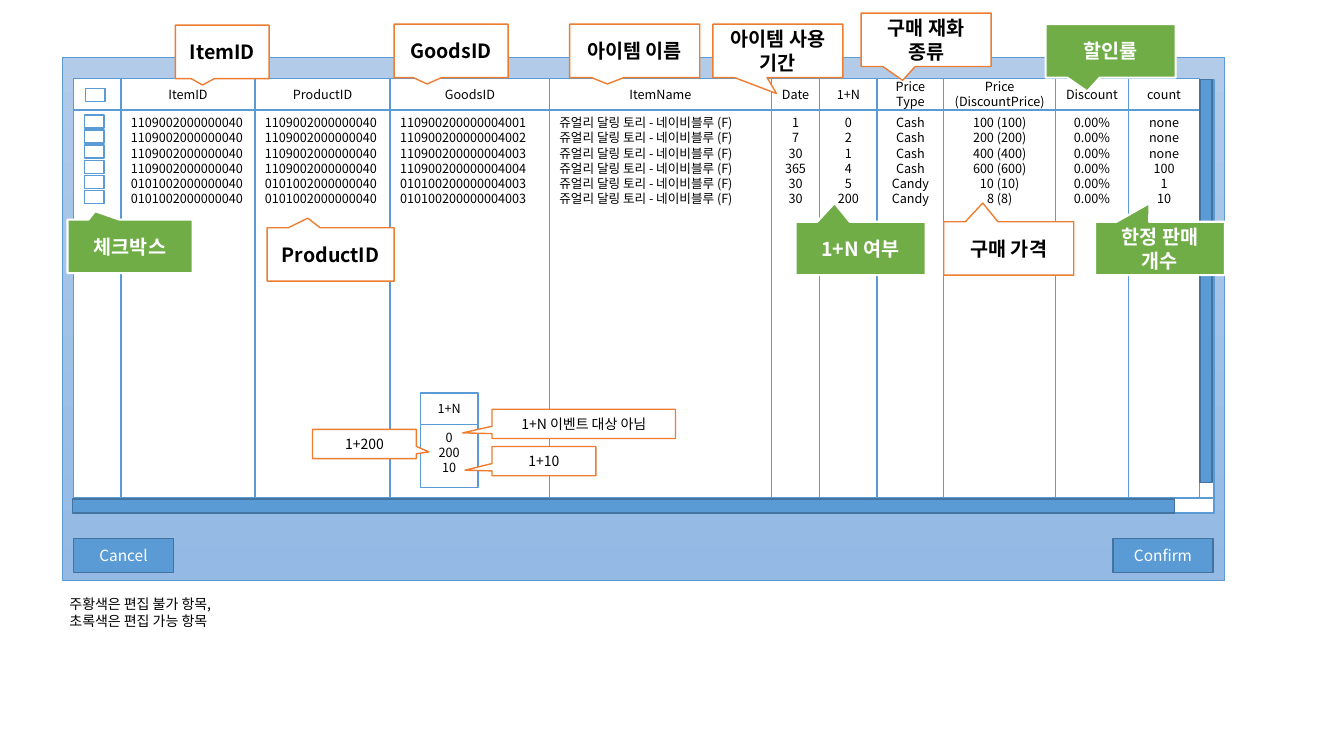
from pptx import Presentation
from pptx.dml.color import RGBColor
from pptx.enum.shapes import MSO_SHAPE
from pptx.enum.text import MSO_ANCHOR, PP_ALIGN
from pptx.oxml.ns import qn
from pptx.util import Inches, Pt
from lxml.etree import SubElement

FONT = "Noto Sans CJK KR"
HUES = {
    "white": "FFFFFF", "black": "000000", "blue": "5B9BD5", "navy": "43739E",
    "orange": "ED7D31", "green": "70AD47", "pale": "B1CBE9", "sky": "93B9E4",
}
LOOKS = {
    "cell": ("white", "blue", 1, "black"),
    "bar": ("blue", "navy", 1, "white"),
    "fixed": ("white", "orange", 1, "black"),
    "edit": ("green", "white", 1.5, "white"),
}

IDS = ["1109002000000040"] * 4 + ["0101002000000040"] * 2
GOODS = [
    "110900200000004001", "110900200000004002", "110900200000004003",
    "110900200000004004", "010100200000004003", "010100200000004003",
]
COLUMNS = [
    (0.73, [], []),
    (1.2, ["ItemID"], IDS),
    (2.53, ["ProductID"], IDS),
    (3.87, ["GoodsID"], GOODS),
    (5.45, ["ItemName"], ["쥬얼리 달링 토리 - 네이비블루 (F)"] * 6),
    (7.65, ["Date"], ["1", "7", "30", "365", "30", "30"]),
    (8.13, ["1+N"], ["0", "2", "1", "4", "5", "200"]),
    (8.7, ["Price", "Type"], ["Cash"] * 4 + ["Candy"] * 2),
    (9.36, ["Price", "(DiscountPrice)"],
     ["100 (100)", "200 (200)", "400 (400)", "600 (600)", "10 (10)", "8 (8)"]),
    (10.47, ["Discount"], ["0.00%"] * 6),
    (11.19, ["count"], ["none", "none", "none", "100", "1", "10"]),
]
RIGHT = 11.9
LEFT_SET = ("ItemID", "ProductID", "GoodsID", "ItemName")

BARS = [
    ("cell", (RIGHT, 0.79, 0.14, 4.15)), ("bar", (RIGHT, 0.79, 0.12, 4)),
    ("cell", (0.73, 4.94, 11.31, 0.15)), ("bar", (0.72, 4.95, 10.93, 0.14)),
]
BUTTONS = [("Cancel", 0.73), ("Confirm", 11.04)]
LABELS = [
    ("체크박스", "edit", 0.67, 2.18, 1.24, -0.28, -0.66),
    ("ItemID", "fixed", 1.74, 0.25, 0.93, -0.21, 0.62),
    ("ProductID", "fixed", 2.65, 2.26, 1.26, -0.18, -0.68),
    ("GoodsID", "fixed", 3.91, 0.24, 1.13, -0.21, 0.62),
    ("아이템 이름", "fixed", 5.65, 0.24, 1.29, -0.21, 0.62),
    ("아이템 사용 기간", "fixed", 7.07, 0.24, 1.29, -0.01, 0.8),
    ("1+N 여부", "edit", 7.89, 2.2, 1.29, -0.2, -0.85),
    ("구매 가격", "fixed", 9.36, 2.2, 1.29, -0.2, -0.85),
    ("한정 판매 개수", "edit", 10.86, 2.2, 1.29, -0.08, -0.85),
    ("구매 재화 종류", "fixed", 8.54, 0.13, 1.29, -0.18, 0.76),
    ("할인률", "edit", 10.37, 0.24, 1.29, -0.18, 0.76),
]
HINTS = [
    ("1+N 이벤트 대상 아님", "fixed", 4.88, 4.06, 1.82, -0.66, 0.31),
    ("1+200", "fixed", 3.1, 4.26, 1.03, 0.62, 0.27),
    ("1+10", "fixed", 4.88, 4.43, 1.03, -0.76, 0.31),
]
LEGEND = ["주황색은 편집 불가 항목,", "초록색은 편집 가능 항목"]


def tint(name):
    return RGBColor.from_string(HUES[name])


def assign(target, values):
    for key, value in values.items():
        setattr(target, key, value)


def write(shape, lines, size, ink="black", bold=False, left=False,
          top=False, side=0.0, wrap=True):
    frame = shape.text_frame
    assign(frame, {
        "word_wrap": wrap,
        "vertical_anchor": MSO_ANCHOR.TOP if top else MSO_ANCHOR.MIDDLE,
        "margin_left": Inches(side), "margin_right": Inches(side),
        "margin_top": Inches(0.05), "margin_bottom": Inches(0.05),
    })
    for i, line in enumerate(lines):
        para = frame.paragraphs[0] if i == 0 else frame.add_paragraph()
        assign(para, {
            "alignment": PP_ALIGN.LEFT if left else PP_ALIGN.CENTER,
            "line_spacing": Pt(round(size * 1.21, 1)),
        })
        run = para.add_run()
        run.text = line
        assign(run.font, {"name": FONT, "size": Pt(size), "bold": bold})
        run.font.color.rgb = tint(ink)
        east = SubElement(run.font._element, qn("a:ea"))
        east.set("typeface", FONT)


def draw(shapes, look, box, kind=MSO_SHAPE.RECTANGLE):
    fill, edge, width, _ = LOOKS[look]
    shape = shapes.add_shape(kind, *map(Inches, box))
    shape.shadow.inherit = False
    shape.fill.solid()
    shape.fill.fore_color.rgb = tint(fill)
    shape.line.color.rgb = tint(edge)
    shape.line.width = Pt(width)
    return shape


def column(shapes, x, width, top, height, head, rows):
    title = draw(shapes, "cell", (x, top, width, 0.31))
    body = draw(shapes, "cell", (x, top + 0.31, width, height))
    if head:
        left = head[0] in LEFT_SET
        write(title, head, 9)
        write(body, rows, 9, left=left, top=True, side=0.1 if left else 0)


def callout(shapes, label, height, size, bold):
    text, look, x, y, width, dx, dy = label
    shape = draw(shapes, look, (x, y, width, height),
                 MSO_SHAPE.RECTANGULAR_CALLOUT)
    shape.adjustments[0] = dx
    shape.adjustments[1] = dy
    write(shape, [text], size, LOOKS[look][3], bold, side=0.1)


def main():
    deck = Presentation()
    assign(deck, {"slide_width": Inches(13.33), "slide_height": Inches(7.5)})
    shapes = deck.slides.add_slide(deck.slide_layouts[6]).shapes

    panel = draw(shapes, "cell", (0.62, 0.57, 11.52, 5.19))
    panel.line.width = Pt(0.5)
    panel.fill.gradient()
    panel.fill.gradient_angle = 270
    for stop, name in zip(panel.fill.gradient_stops, ("pale", "sky")):
        stop.color.rgb = tint(name)

    for text, x in BUTTONS:
        write(draw(shapes, "bar", (x, 5.34, 0.99, 0.34)), [text], 11, "white")

    ends = [col[0] for col in COLUMNS[1:]] + [RIGHT]
    for (x, head, rows), end in zip(COLUMNS, ends):
        column(shapes, x, end - x, 0.78, 3.85, head, rows)

    draw(shapes, "cell", (0.85, 0.88, 0.19, 0.13))
    for i in range(6):
        draw(shapes, "cell", (0.84, 1.14 + 0.15 * i, 0.19, 0.13))
    for look, box in BARS:
        draw(shapes, look, box)
    for label in LABELS:
        callout(shapes, label, 0.53, 14, True)

    note = shapes.add_textbox(*map(Inches, (0.59, 5.86, 1.78, 0.44)))
    write(note, LEGEND, 10, left=True, top=True, side=0.1, wrap=False)

    column(shapes, 4.17, 0.57, 3.9, 0.63, ["1+N"], ["0", "200", "10"])
    for hint in HINTS:
        callout(shapes, hint, 0.29, 10, False)
    deck.save("out.pptx")


if __name__ == "__main__":
    main()
